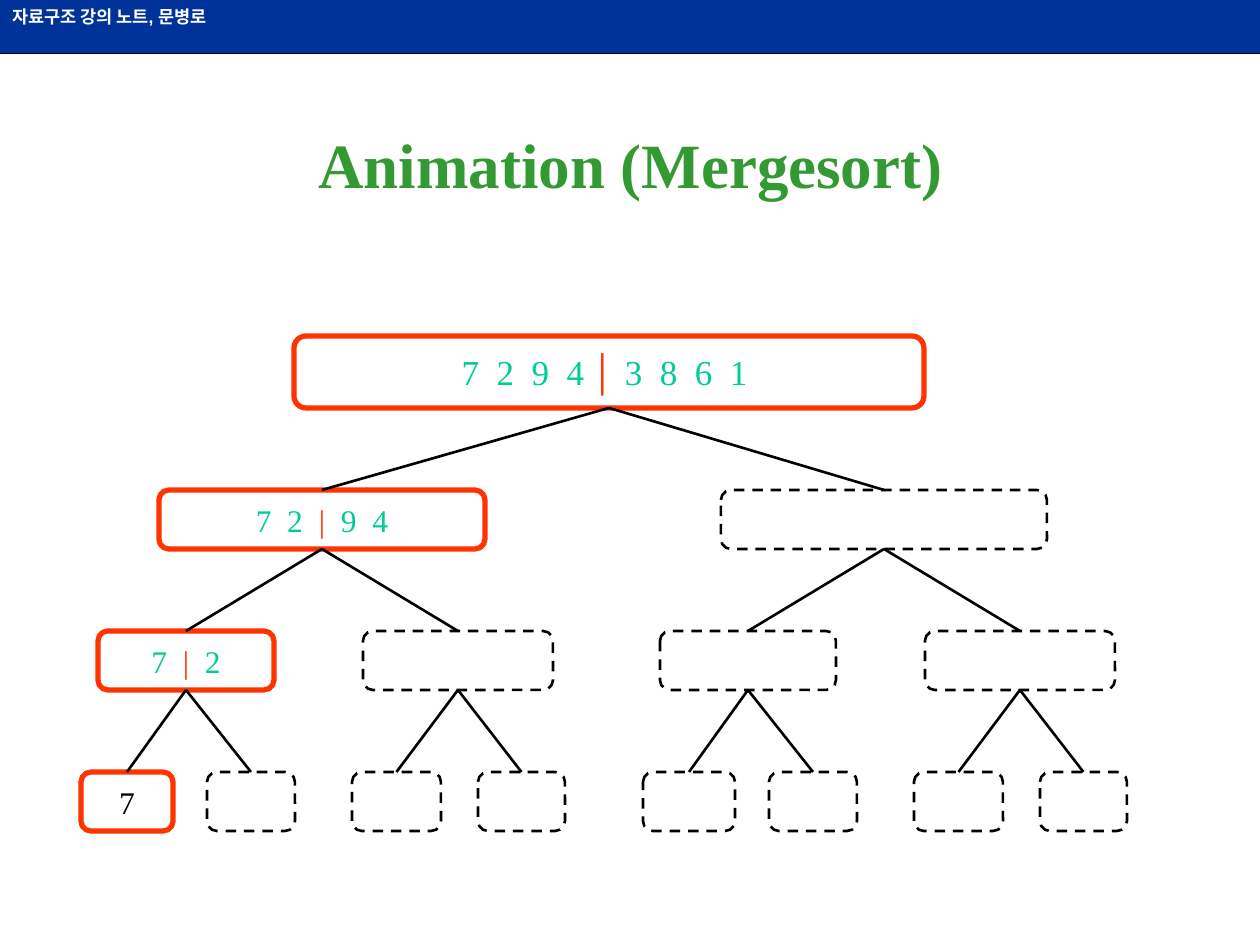
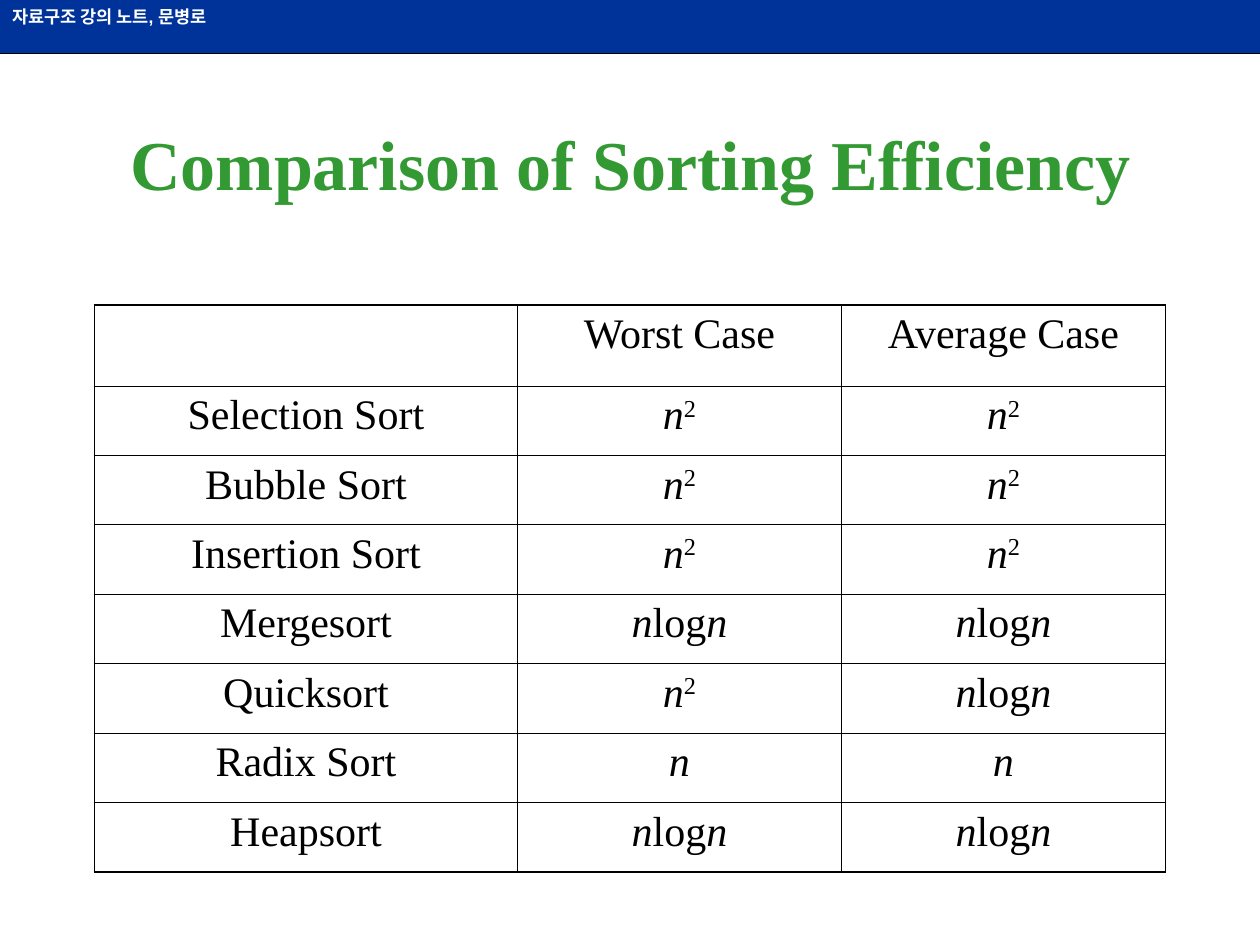
import lxml.etree
import pptx
import pptx.dml.color
import pptx.enum.dml
import pptx.enum.shapes
import pptx.enum.text
import pptx.oxml.ns
import pptx.util

BLACK = pptx.dml.color.RGBColor(0x00, 0x00, 0x00)
WHITE = pptx.dml.color.RGBColor(0xFF, 0xFF, 0xFF)
NAVY = pptx.dml.color.RGBColor(0x00, 0x33, 0x99)
GREEN = pptx.dml.color.RGBColor(0x33, 0x99, 0x33)
TEAL = pptx.dml.color.RGBColor(0x00, 0xCC, 0x99)
ORANGE = pptx.dml.color.RGBColor(0xFF, 0x33, 0x00)
SERIF = "Times New Roman"
SANS = "Arial"

SLIDE_WIDTH, SLIDE_HEIGHT = 1260, 945
BAND_HEIGHT = 53
BAND_TEXT = "자료구조 강의 노트, 문병로"
TITLE_BOX = (95, 84, 1071, 158)

TREE_TITLE = "Animation (Mergesort)"
ROOT = (294, 630)
LEFT_HALF = [
    [(159, 326)],
    [(98, 176), (363, 190)],
    [(81, 92), (207, 88), (352, 89), (478, 87)],
]
HALF_SHIFT = 562
LEVEL_ROWS = [(336, 72), (490, 59), (631, 59), (772, 59)]
ACTIVE_TEXTS = [
    [("7  2  9  4 ", TEAL, SERIF), ("│ ", ORANGE, SANS), ("3  8  6  1 ", TEAL, SERIF)],
    [("7  2  ", TEAL, SERIF), ("|  ", ORANGE, SERIF), ("9  4", TEAL, SERIF)],
    [("7  ", TEAL, SERIF), ("|", ORANGE, SERIF), ("  2", TEAL, SERIF)],
    [("7", BLACK, SERIF)],
]
LEVEL_TEXT_SIZES = [20, 18, 18, 18]

TABLE_TITLE = "Comparison of Sorting Efficiency"
LINEAR = [("n", "italic")]
SQUARE = [("n", "italic"), ("2", "superscript")]
LOGLINEAR = [("n", "italic"), ("log", "plain"), ("n", "italic")]
HEADERS = ["", "Worst Case", "Average Case"]
SORTS = [
    ("Selection Sort", SQUARE, SQUARE),
    ("Bubble Sort", SQUARE, SQUARE),
    ("Insertion Sort", SQUARE, SQUARE),
    ("Mergesort", LOGLINEAR, LOGLINEAR),
    ("Quicksort", SQUARE, LOGLINEAR),
    ("Radix Sort", LINEAR, LINEAR),
    ("Heapsort", LOGLINEAR, LOGLINEAR),
]
TABLE_TOP, TABLE_HEIGHT, HEADER_HEIGHT = 305, 567, 81
COLUMN_WIDTHS = [423, 324, 324]
OUTER_BORDER, INNER_BORDER = 1.08, 0.45


def px(length):
    return pptx.util.Emu(round(length * 914400 / 126))


def add_run(paragraph, text, size, color, font=SERIF, bold=False):
    run = paragraph.add_run()
    run.text = text
    run.font.name = font
    run.font.size = pptx.util.Pt(size)
    run.font.bold = bold
    run.font.color.rgb = color
    return run


def add_line(slide, start=(0, 0), end=(0, 0)):
    line = slide.shapes.add_connector(
        pptx.enum.shapes.MSO_CONNECTOR.STRAIGHT, *map(px, start + end))
    line.line.color.rgb = BLACK
    line.line.width = pptx.util.Pt(1.5)
    lxml.etree.SubElement(line.element.spPr, pptx.oxml.ns.qn("a:effectLst"))
    return line


def prepare_layout(layout, slide):
    for placeholder in list(layout.placeholders):
        if placeholder.placeholder_format.type == pptx.enum.shapes.PP_PLACEHOLDER.TITLE:
            placeholder.left, placeholder.top, placeholder.width, placeholder.height = map(px, TITLE_BOX)
        else:
            placeholder.element.getparent().remove(placeholder.element)
    rule = add_line(slide, (0, BAND_HEIGHT), (SLIDE_WIDTH, BAND_HEIGHT))
    band = slide.shapes.add_shape(
        pptx.enum.shapes.MSO_SHAPE.RECTANGLE, 0, 0, px(SLIDE_WIDTH), px(BAND_HEIGHT))
    band.shadow.inherit = False
    band.fill.solid()
    band.fill.fore_color.rgb = NAVY
    band.line.fill.background()
    band.text_frame.vertical_anchor = pptx.enum.text.MSO_ANCHOR.TOP
    paragraph = band.text_frame.paragraphs[0]
    paragraph.alignment = pptx.enum.text.PP_ALIGN.LEFT
    add_run(paragraph, BAND_TEXT, 10, WHITE, SANS, True)
    for shape in (rule, band):
        layout.element.cSld.spTree.append(shape.element)


def set_title(slide, text, size):
    frame = slide.shapes.title.text_frame
    frame.vertical_anchor = pptx.enum.text.MSO_ANCHOR.MIDDLE
    paragraph = frame.paragraphs[0]
    paragraph.alignment = pptx.enum.text.PP_ALIGN.CENTER
    add_run(paragraph, text, size, GREEN, bold=True)


def add_node(slide, left, top, width, height, runs, size):
    node = slide.shapes.add_shape(
        pptx.enum.shapes.MSO_SHAPE.ROUNDED_RECTANGLE, *map(px, (left, top, width, height)))
    node.shadow.inherit = False
    node.fill.background()
    node.line.color.rgb = ORANGE if runs else BLACK
    node.line.width = pptx.util.Pt(3 if runs else 1.5)
    if not runs:
        node.line.dash_style = pptx.enum.dml.MSO_LINE.DASH
        return node
    node.text_frame.word_wrap = False
    node.text_frame.vertical_anchor = pptx.enum.text.MSO_ANCHOR.MIDDLE
    paragraph = node.text_frame.paragraphs[0]
    paragraph.alignment = pptx.enum.text.PP_ALIGN.CENTER
    for text, color, font in runs:
        add_run(paragraph, text, size, color, font, bold=font == SANS)
    return node


def add_tree(slide):
    levels = [[ROOT]]
    for half in LEFT_HALF:
        levels.append(half + [(left + HALF_SHIFT, width) for left, width in half])
    parents = []
    for level, (top, height), texts, size in zip(levels, LEVEL_ROWS, ACTIVE_TEXTS, LEVEL_TEXT_SIZES):
        nodes = []
        for index, (left, width) in enumerate(level):
            runs = texts if index == 0 else []
            node = add_node(slide, left, top, width, height, runs, size)
            if parents:
                edge = add_line(slide)
                edge.begin_connect(parents[index // 2], 2)
                edge.end_connect(node, 0)
            nodes.append(node)
        parents = nodes


def set_borders(cell, widths):
    properties = cell._tc.get_or_add_tcPr()
    for position, (side, width) in enumerate(zip("LRTB", widths)):
        border = lxml.etree.Element(
            pptx.oxml.ns.qn("a:ln" + side), w=str(pptx.util.Pt(width)))
        fill = lxml.etree.SubElement(border, pptx.oxml.ns.qn("a:solidFill"))
        lxml.etree.SubElement(fill, pptx.oxml.ns.qn("a:srgbClr"), val=str(BLACK))
        properties.insert(position, border)


def fill_cell(cell, content):
    cell.fill.background()
    cell.margin_left = cell.margin_right = pptx.util.Inches(0.1)
    cell.margin_top = cell.margin_bottom = pptx.util.Inches(0.05)
    paragraph = cell.text_frame.paragraphs[0]
    paragraph.alignment = pptx.enum.text.PP_ALIGN.CENTER
    if isinstance(content, str):
        content = [(content, "plain")] if content else []
    for text, style in content:
        run = add_run(paragraph, text, 24, BLACK)
        run.font.italic = style == "italic"
        if style == "superscript":
            run._r.get_or_add_rPr().set("baseline", "30000")


def add_comparison(slide):
    rows = [HEADERS] + SORTS
    table_width = sum(COLUMN_WIDTHS)
    left = (SLIDE_WIDTH - table_width) / 2
    table = slide.shapes.add_table(
        len(rows), len(HEADERS), *map(px, (left, TABLE_TOP, table_width, TABLE_HEIGHT))).table
    table.first_row = table.horz_banding = False
    for column, width in zip(table.columns, COLUMN_WIDTHS):
        column.width = px(width)
    sort_height = (TABLE_HEIGHT - HEADER_HEIGHT) / len(SORTS)
    last_row, last_column = len(rows) - 1, len(HEADERS) - 1
    for row_index, contents in enumerate(rows):
        table.rows[row_index].height = px(sort_height if row_index else HEADER_HEIGHT)
        for column_index, content in enumerate(contents):
            cell = table.cell(row_index, column_index)
            fill_cell(cell, content)
            outer_sides = (column_index == 0, column_index == last_column,
                           row_index == 0, row_index == last_row)
            set_borders(cell, [OUTER_BORDER if outer else INNER_BORDER for outer in outer_sides])


def main():
    presentation = pptx.Presentation()
    presentation.slide_width = px(SLIDE_WIDTH)
    presentation.slide_height = px(SLIDE_HEIGHT)
    layout = presentation.slide_layouts[5]

    tree_slide = presentation.slides.add_slide(layout)
    prepare_layout(layout, tree_slide)
    set_title(tree_slide, TREE_TITLE, 36)
    add_tree(tree_slide)

    table_slide = presentation.slides.add_slide(layout)
    set_title(table_slide, TABLE_TITLE, 40)
    add_comparison(table_slide)

    presentation.save("out.pptx")


if __name__ == "__main__":
    main()
